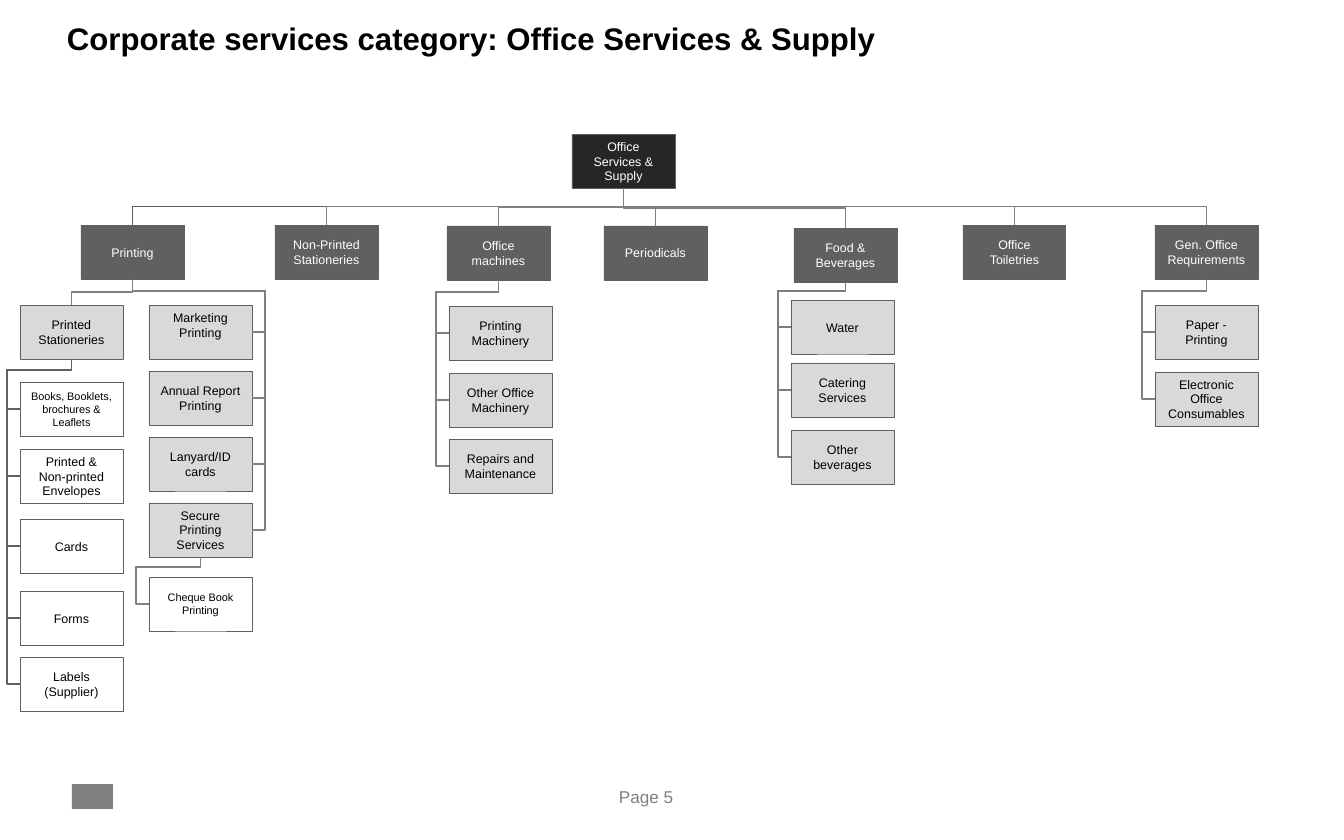
from lxml import etree
from pptx import Presentation, util as u
from pptx.dml.color import RGBColor
from pptx.enum import shapes, text
from pptx.oxml.ns import qn

# Content
TITLE = "Corporate services category: Office Services & Supply"
PAGE = "Page 5"
ROOT = ("Office Services & Supply", 572, 134)
# label, left, top, colour of the line from the root
CATEGORIES = [
    ("Printing", 81, 225, "606060"),
    ("Non-Printed Stationeries", 275, 225, "808080"),
    ("Office machines", 447, 226, "808080"),
    ("Periodicals", 604, 226, "808080"),
    ("Food & Beverages", 794, 228, "808080"),
    ("Office Toiletries", 963, 225, "808080"),
    ("Gen. Office Requirements", 1155, 225, "808080"),
]
# parent, route, column left, drop below parent, line colour, fill, [(label, top)]
BRANCHES = [
    ("Printing", "top", 20, 12, "808080", "D9D9D9", [("Printed Stationeries", 305)]),
    ("Printing", "right", 149, 12, "808080", "D9D9D9", [
        ("Marketing Printing", 305), ("Annual Report Printing", 371),
        ("Lanyard/ID cards", 437), ("Secure Printing Services", 503)]),
    ("Printed Stationeries", "left", 20, 11, "606060", "FFFFFF", [
        ("Books, Booklets, brochures & Leaflets", 382),
        ("Printed & Non-printed Envelopes", 449),
        ("Cards", 519), ("Forms", 591), ("Labels (Supplier)", 657)]),
    ("Secure Printing Services", "left", 149, 10, "808080", "FFFFFF", [
        ("Cheque Book Printing", 577)]),
    ("Office machines", "left", 449, 12, "808080", "D9D9D9", [
        ("Printing Machinery", 306), ("Other Office Machinery", 373),
        ("Repairs and Maintenance", 439)]),
    ("Food & Beverages", "left", 791, 9, "7D7D7D", "D9D9D9", [
        ("Water", 300), ("Catering Services", 363), ("Other beverages", 430)]),
    ("Gen. Office Requirements", "left", 1155, 12, "808080", "D9D9D9", [
        ("Paper - Printing", 305), ("Electronic Office Consumables", 372)]),
]
SMALL_LABELS = {"Books, Booklets, brochures & Leaflets", "Cheque Book Printing"}
BOX_WIDTH, BOX_HEIGHT, GUTTER = 103, 54, 13
SITES = {"top": 0, "left": 1, "right": 3}


def px(value):
    return u.Emu(round(value * 914400 / 112))


def colour(value):
    return RGBColor.from_string(value)


def style(paragraph, size, ink, bold=False):
    for run in paragraph.runs:
        run.font.name = "Arial"
        run.font.size = u.Pt(size)
        run.font.bold = bold
        run.font.color.rgb = colour(ink)


def add_label(slide, label, left, top, width, height, size, ink, bold=False):
    frame = slide.shapes.add_textbox(px(left), px(top), px(width), px(height)).text_frame
    frame.word_wrap = True
    frame.margin_left = frame.margin_right = frame.margin_top = frame.margin_bottom = 0
    paragraph = frame.paragraphs[0]
    paragraph.text = label
    style(paragraph, size, ink, bold)
    return paragraph


def add_box(slide, label, left, top, fill, ink):
    box = slide.shapes.add_shape(shapes.MSO_SHAPE.RECTANGLE, px(left), px(top),
                                 px(BOX_WIDTH), px(BOX_HEIGHT))
    box.shadow.inherit = False
    box.fill.solid()
    box.fill.fore_color.rgb = colour(fill)
    box.line.color.rgb = colour("606060")
    box.line.width = u.Pt(0.5)
    frame = box.text_frame
    frame.word_wrap = True
    frame.vertical_anchor = text.MSO_ANCHOR.MIDDLE
    paragraph = frame.paragraphs[0]
    paragraph.text = label
    paragraph.alignment = text.PP_ALIGN.CENTER
    style(paragraph, 7 if label in SMALL_LABELS else 8, ink)
    return box


def add_link(slide, parent, child, route, drop, ink):
    """Elbow from the parent's bottom to the child's top, left or right side."""
    start_x, start_y = parent.left + parent.width // 2, parent.top + parent.height
    end_x = child.left + {"top": child.width // 2, "left": 0, "right": child.width}[route]
    end_y = child.top + (0 if route == "top" else child.height // 2)
    across, down = abs(end_x - start_x), end_y - start_y

    link = slide.shapes.add_connector(shapes.MSO_CONNECTOR.ELBOW, start_x, start_y, end_x, end_y)
    link.begin_connect(parent, 2)
    link.end_connect(child, SITES[route])
    link.line.color.rgb = colour(ink)
    link.line.width = u.Pt(0.75)

    # A quarter turn makes the elbow leave downwards
    link.left = (start_x + end_x - down) // 2
    link.top = (start_y + end_y - across) // 2
    link.width, link.height = down, across
    properties = link._element.spPr
    frame = properties.find(qn("a:xfrm"))
    rightward = end_x > start_x
    frame.set("rot", "16200000" if rightward else "5400000")
    frame.set("flipH", "1" if rightward else "0")
    frame.set("flipV", "0")

    geometry = properties.find(qn("a:prstGeom"))
    ratios = [0.5]
    if route != "top":
        geometry.set("prst", "bentConnector4")
        ratios = [px(drop) / down, 1 + px(GUTTER) / across]
    guides = geometry.find(qn("a:avLst"))
    if guides is None:
        guides = etree.SubElement(geometry, qn("a:avLst"))
    for number, ratio in enumerate(ratios, 1):
        etree.SubElement(guides, qn("a:gd"), name=f"adj{number}",
                         fmla=f"val {round(ratio * 100000)}")
    etree.SubElement(properties, qn("a:effectLst"))


def main():
    presentation = Presentation()
    presentation.slide_width, presentation.slide_height = px(1344), px(840)
    slide = presentation.slides.add_slide(presentation.slide_layouts[6])

    # Title and footer
    title = add_label(slide, TITLE, 67, 25, 1210, 45, 20, "000000", True)
    title.line_spacing = 0.85
    add_label(slide, PAGE, 619, 786, 105, 25, 11, "808080")
    mark = slide.shapes.add_shape(shapes.MSO_SHAPE.RECTANGLE, px(72), px(784), px(41), px(25))
    mark.shadow.inherit = False
    mark.fill.solid()
    mark.fill.fore_color.rgb = colour("808080")
    mark.line.fill.background()

    # Root and categories
    root = add_box(slide, *ROOT, "262626", "FFFFFF")
    boxes = {}
    for label, left, top, ink in CATEGORIES:
        boxes[label] = add_box(slide, label, left, top, "606060", "FFFFFF")
        add_link(slide, root, boxes[label], "top", 0, ink)

    # Branches below the categories
    for parent, route, left, drop, ink, fill, children in BRANCHES:
        for label, top in children:
            boxes[label] = add_box(slide, label, left, top, fill, "000000")
            add_link(slide, boxes[parent], boxes[label], route, drop, ink)

    # This label sits above the middle of its box
    boxes["Marketing Printing"].text_frame.margin_bottom = px(20)

    presentation.save("out.pptx")


if __name__ == "__main__":
    main()
